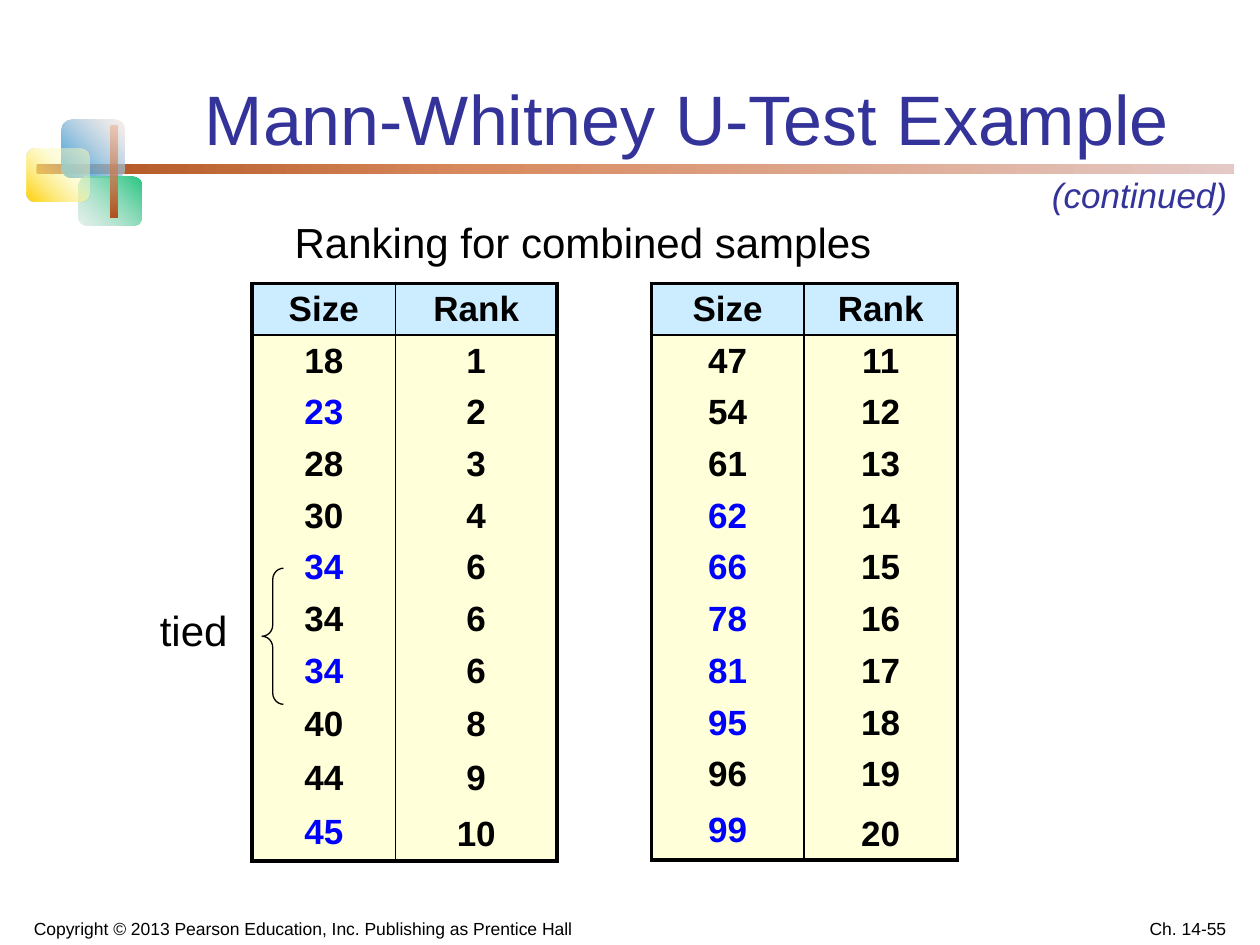
from dataclasses import dataclass
from lxml.etree import SubElement
from pptx import Presentation
from pptx.dml.color import RGBColor
from pptx.enum.shapes import MSO_SHAPE
from pptx.enum.text import MSO_ANCHOR, MSO_AUTO_SIZE, PP_ALIGN
from pptx.oxml.ns import qn
from pptx.util import Emu, Pt

SCALE = 9144


def px(length):
    return Emu(length * SCALE)


@dataclass(frozen=True)
class Theme:
    font: str = "Arial"
    ink: str = "000000"
    accent: str = "333399"
    second_sample: str = "0000FF"
    header_fill: str = "CCECFF"
    body_fill: str = "FFFFD9"
    title_size: int = 40
    label_size: int = 24
    table_size: int = 20
    footer_size: int = 10
    outer_line: float = 2.25
    inner_line: float = 1
    brace_line: float = 0.75


def apply(target, values):
    for name, value in values.items():
        setattr(target, name, value)


class SlideBuilder:
    def __init__(self, page, theme):
        self.page = page
        self.theme = theme

    def fill_text(self, frame, text, size, color=None, align=PP_ALIGN.LEFT, spacing=None, **font):
        para = frame.paragraphs[0]
        apply(para, {"alignment": align, "line_spacing": spacing})
        span = para.add_run()
        span.text = text
        apply(span.font, {"name": self.theme.font, "size": Pt(size), **font})
        span.font.color.rgb = RGBColor.from_string(color or self.theme.ink)

    def title(self, text, left, top, width, height):
        box = self.page.shapes.title
        apply(box, {"left": px(left), "top": px(top), "width": px(width), "height": px(height)})
        apply(box.text_frame, {"vertical_anchor": MSO_ANCHOR.BOTTOM, "word_wrap": True,
                               "auto_size": MSO_AUTO_SIZE.NONE})
        self.fill_text(box.text_frame, text, self.theme.title_size, self.theme.accent,
                       PP_ALIGN.CENTER, 0.8)

    def text(self, text, left, top, width, height, size, anchor=MSO_ANCHOR.TOP, wrap=True, **style):
        box = self.page.shapes.add_textbox(px(left), px(top), px(width), px(height))
        apply(box.text_frame, {"vertical_anchor": anchor, "word_wrap": wrap})
        self.fill_text(box.text_frame, text, size, **style)

    def gradient_block(self, left, top, width, height, angle, stops):
        block = self.page.shapes.add_shape(
            MSO_SHAPE.ROUNDED_RECTANGLE, px(left), px(top), px(width), px(height))
        block.shadow.inherit = False
        block.line.fill.background()
        block.fill.gradient()
        gradient = block.element.spPr.find(qn("a:gradFill"))
        for child in list(gradient):
            gradient.remove(child)
        stop_list = SubElement(gradient, qn("a:gsLst"))
        for position, color, opacity in stops:
            stop = SubElement(stop_list, qn("a:gs"), pos=str(position * 1000))
            shade = SubElement(stop, qn("a:srgbClr"), val=color)
            if opacity < 100:
                SubElement(shade, qn("a:alpha"), val=str(opacity * 1000))
        SubElement(gradient, qn("a:lin"), ang=str(angle * 60000), scaled="1")

    def brace(self, left, top, width, height):
        brace = self.page.shapes.add_shape(
            MSO_SHAPE.LEFT_BRACE, px(left), px(top), px(width), px(height))
        brace.shadow.inherit = False
        brace.adjustments[0] = 0.53
        brace.fill.background()
        brace.line.color.rgb = RGBColor.from_string(self.theme.ink)
        brace.line.width = Pt(self.theme.brace_line)

    def borders(self, cell, widths):
        properties = cell._tc.get_or_add_tcPr()
        for side, width in zip("LRTB", widths):
            if not width:
                line = SubElement(properties, qn(f"a:ln{side}"))
                SubElement(line, qn("a:noFill"))
                continue
            line = SubElement(properties, qn(f"a:ln{side}"), w=str(int(Pt(width))))
            fill = SubElement(line, qn("a:solidFill"))
            SubElement(fill, qn("a:srgbClr"), val=self.theme.ink)

    def rank_table(self, left, top, columns, heights, sizes, blue_rows, ranks, last_spacing):
        theme = self.theme
        rows = [("Size", "Rank"), *zip(sizes, ranks)]
        last = len(rows) - 1
        table = self.page.shapes.add_table(
            len(rows), 2, px(left), px(top), px(sum(columns)), px(sum(heights))).table
        apply(table, {"first_row": False, "horz_banding": False})
        for column, width in zip(table.columns, columns):
            column.width = px(width)
        for index, values in enumerate(rows):
            table.rows[index].height = px(heights[index])
            upper = {0: theme.outer_line, 1: theme.inner_line}.get(index, 0)
            lower = {0: theme.inner_line, last: theme.outer_line}.get(index, 0)
            for side, value in enumerate(values):
                cell = table.cell(index, side)
                sides = (theme.outer_line, theme.inner_line)
                self.borders(cell, (*(sides[::-1] if side else sides), upper, lower))
                cell.fill.solid()
                cell.fill.fore_color.rgb = RGBColor.from_string(
                    theme.body_fill if index else theme.header_fill)
                cell.vertical_anchor = MSO_ANCHOR.MIDDLE if index else MSO_ANCHOR.BOTTOM
                blue = side == 0 and index in blue_rows
                self.fill_text(cell.text_frame, str(value), theme.table_size,
                               theme.second_sample if blue else theme.ink, PP_ALIGN.CENTER,
                               last_spacing if side and index == last else None, bold=True)


def main():
    deck = Presentation()
    apply(deck, {"slide_width": px(1000), "slide_height": px(750)})
    theme = Theme()
    slide = SlideBuilder(deck.slides.add_slide(deck.slide_layouts[5]), theme)

    for block in (
        (29, 130, 950, 8, 0, [(0, "AE511E", 100), (37, "D88A5E", 100), (100, "E4C9C6", 100)]),
        (49, 95, 50, 46, 315, [(0, "2895D8", 100), (100, "F7E2D9", 50)]),
        (62, 140, 50, 39, 135, [(0, "25C580", 100), (100, "CCE2D9", 50)]),
        (21, 118, 50, 42, 315, [(0, "FFCF01", 100), (63, "FCFCBC", 50), (100, "FCFCBC", 50)]),
        (88, 100, 5, 73, 270, [(0, "AE511E", 100), (100, "EAA782", 50)]),
    ):
        slide.gradient_block(*block)

    slide.title("Mann-Whitney U-Test Example", 142, 23, 806, 108)
    slide.rank_table(200, 225, (114, 128), [41] * 8 + [44, 41, 45],
                     (18, 23, 28, 30, 34, 34, 34, 40, 44, 45), {2, 5, 7, 10},
                     (1, 2, 3, 4, 6, 6, 6, 8, 9, 10), 1.1)
    slide.rank_table(517, 225, (121, 122), [41] * 10 + [46],
                     (47, 54, 61, 62, 66, 78, 81, 95, 96, 99), {4, 5, 6, 7, 8, 10},
                     range(11, 21), 1.2)
    slide.text("Ranking for combined samples", 224, 167, 508, 50, theme.label_size)
    slide.brace(208, 451, 17, 108)
    slide.text("tied", 117, 475, 75, 50, theme.label_size)
    slide.text("(continued)", 825, 133, 161, 43, theme.table_size, wrap=False,
               color=theme.accent, italic=True)
    slide.text("Copyright © 2013 Pearson Education, Inc. Publishing as Prentice Hall",
               17, 715, 533, 35, theme.footer_size, MSO_ANCHOR.BOTTOM)
    slide.text("Ch. 14-55", 750, 715, 233, 35, theme.footer_size, MSO_ANCHOR.BOTTOM,
               align=PP_ALIGN.RIGHT)
    deck.save("out.pptx")


if __name__ == "__main__":
    main()
